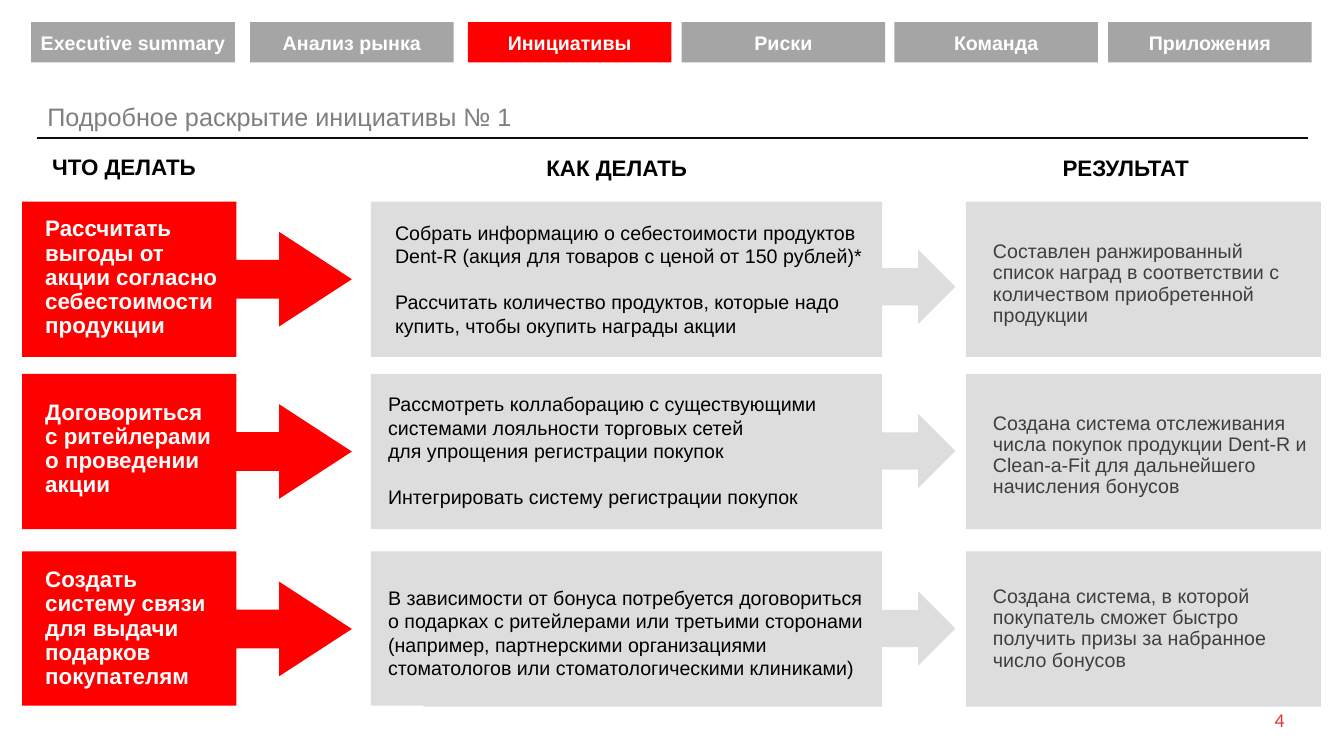
"""Build the slide that details initiative No. 1: what to do, how, and the result."""
from dataclasses import dataclass

import lxml.etree
import pptx
import pptx.dml.color
import pptx.enum.shapes
import pptx.enum.text
import pptx.oxml.ns
import pptx.util

Inches = pptx.util.Inches
Shapes = pptx.enum.shapes.MSO_SHAPE
Align = pptx.enum.text.PP_ALIGN
Anchor = pptx.enum.text.MSO_ANCHOR


@dataclass(frozen=True)
class Theme:
    """Colours, fonts and type sizes of the slide."""
    red: str = "FF0000"
    tab: str = "A5A5A5"
    panel: str = "DDDDDD"
    white: str = "FFFFFF"
    black: str = "000000"
    rule: str = "0C0C0C"
    title: str = "7F7F7F"
    result: str = "3F3F3F"
    number: str = "E53530"
    font: str = "Arial"
    number_font: str = "Calibri"
    title_size: int = 18
    head_size: int = 16
    body_size: int = 14
    gap: int = 16


THEME = Theme()


@dataclass(frozen=True)
class Box:
    """Left, top, width and height in inches."""
    left: float
    top: float
    width: float
    height: float

    def lengths(self) -> list:
        """Return the four measures as lengths."""
        return [Inches(n) for n in (self.left, self.top, self.width, self.height)]


@dataclass(frozen=True)
class Style:
    """Look of a block of text."""
    color: str
    size: int = THEME.body_size
    bold: bool = False
    align: Align = Align.LEFT
    spacing: float = 1.0
    font: str = THEME.font


@dataclass(frozen=True)
class Tab:
    """One entry of the navigation bar."""
    label: str
    left: float
    active: bool = False


@dataclass(frozen=True)
class Note:
    """A text and the place of its top left corner."""
    left: float
    top: float
    paragraphs: tuple
    gap_before: int = -1


@dataclass(frozen=True)
class Initiative:
    """One row: action, method and result."""
    top: float
    arrow_top: float
    action: Note
    method: Note
    result: Note


TABS = (
    Tab("Executive summary", 0.31),
    Tab("Анализ рынка", 2.48),
    Tab("Инициативы", 4.64, True),
    Tab("Риски", 6.76),
    Tab("Команда", 8.87),
    Tab("Приложения", 10.99),
)
HEADINGS = (
    Note(0.42, 1.47, ("ЧТО ДЕЛАТЬ",)),
    Note(5.32, 1.48, ("КАК ДЕЛАТЬ",)),
    Note(10.44, 1.48, ("РЕЗУЛЬТАТ",)),
)
INITIATIVES = (
    Initiative(
        2, 2.32,
        Note(0.35, 2.11, ("Рассчитать выгоды от акции согласно себестоимости продукции",)),
        Note(3.82, 2.14, (
            "Собрать информацию о себестоимости продуктов Dent-R (акция для товаров с ценой от 150 рублей)*",
            "Рассчитать количество продуктов, которые надо купить, чтобы окупить награды акции"), 1),
        Note(9.75, 2.35, (
            "Составлен ранжированный\vсписок наград в соответствии с количеством приобретенной продукции",)),
    ),
    Initiative(
        3.71, 3.95,
        Note(0.35, 3.93, ("Договориться\vс ритейлерами о проведении акции",)),
        Note(3.75, 3.84, (
            "Рассмотреть коллаборацию с существующими системами лояльности торговых сетей",
            "для упрощения регистрации покупок",
            "Интегрировать систему регистрации покупок"), 2),
        Note(9.75, 4.05, (
            "Создана система отслеживания\vчисла покупок продукции Dent-R и Clean-a-Fit "
            "для дальнейшего начисления бонусов",)),
    ),
    Initiative(
        5.47, 5.71,
        Note(0.35, 5.59, ("Создать систему связи для выдачи подарков покупателям",)),
        Note(3.75, 5.76, (
            "В зависимости от бонуса потребуется договориться\vо подарках с ритейлерами "
            "или третьими сторонами (например, партнерскими организациями "
            "стоматологов или стоматологическими клиниками)",)),
        Note(9.75, 5.77, (
            "Создана система, в которой покупатель сможет быстро\v"
            "получить призы за набранное\vчисло бонусов",)),
    ),
)


def rgb(color: str) -> pptx.dml.color.RGBColor:
    """Turn a hex string into a colour."""
    return pptx.dml.color.RGBColor.from_string(color)


def write(frame, paragraphs: tuple, style: Style, anchor: Anchor = Anchor.TOP,
          gap_before: int = -1) -> None:
    """Fill a text frame, with a gap above the paragraph at gap_before."""
    frame.word_wrap = True
    frame.auto_size = pptx.enum.text.MSO_AUTO_SIZE.NONE
    frame.vertical_anchor = anchor
    for index, text in enumerate(paragraphs):
        para = frame.add_paragraph() if index else frame.paragraphs[0]
        para.text = text
        para.alignment = style.align
        para.line_spacing = style.spacing
        para.space_before = pptx.util.Pt(THEME.gap if index == gap_before else 0)
        para.font.name = style.font
        para.font.size = pptx.util.Pt(style.size)
        para.font.bold = style.bold
        para.font.color.rgb = rgb(style.color)


def add_note(page, note: Note, width: float, height: float, style: Style,
             anchor: Anchor = Anchor.TOP) -> None:
    """Add a text box for a note."""
    box = page.shapes.add_textbox(*Box(note.left, note.top, width, height).lengths())
    write(box.text_frame, note.paragraphs, style, anchor, note.gap_before)


def add_block(page, kind: Shapes, box: Box, color: str):
    """Add a plain filled shape."""
    shape = page.shapes.add_shape(kind, *box.lengths())
    shape.shadow.inherit = False
    shape.fill.solid()
    shape.fill.fore_color.rgb = rgb(color)
    shape.line.fill.background()
    return shape


def add_title(page) -> None:
    """Place the title and the rule below it."""
    title = page.shapes.title
    title.left, title.top, title.width, title.height = Box(0.37, 0.63, 12.6, 0.73).lengths()
    write(title.text_frame, ("Подробное раскрытие инициативы № 1",),
          Style(THEME.title, THEME.title_size, spacing=0.9), Anchor.BOTTOM)
    rule = page.shapes.add_connector(pptx.enum.shapes.MSO_CONNECTOR.STRAIGHT,
                                     Inches(0.37), Inches(1.37), Inches(12.97), Inches(1.37))
    rule.line.color.rgb = rgb(THEME.rule)
    rule.line.width = pptx.util.Pt(2)
    lxml.etree.SubElement(rule._element.spPr, pptx.oxml.ns.qn("a:effectLst"))


def add_tab(page, tab: Tab) -> None:
    """Add one navigation tab."""
    shape = add_block(page, Shapes.RECTANGLE, Box(tab.left, 0.22, 2.02, 0.4),
                      THEME.red if tab.active else THEME.tab)
    shape.text_frame.margin_left = shape.text_frame.margin_right = 0
    write(shape.text_frame, (tab.label,), Style(THEME.white, bold=True, align=Align.CENTER),
          Anchor.MIDDLE)


def add_initiative(page, row: Initiative) -> None:
    """Add the panels, arrows and texts of one row."""
    callout = add_block(page, Shapes.RIGHT_ARROW_CALLOUT, Box(0.22, row.top, 3.27, 1.54), THEME.red)
    for index, value in enumerate((0.25, 0.305, 0.469, 0.65)):
        callout.adjustments[index] = value
    for left, width in ((3.68, 5.07), (9.58, 3.52)):
        add_block(page, Shapes.RECTANGLE, Box(left, row.top, width, 1.54), THEME.panel)
    arrow = add_block(page, Shapes.DOWN_ARROW, Box(8.58, row.arrow_top, 0.74, 1.05), THEME.panel)
    arrow.rotation = 270
    add_note(page, row.action, 2.01, 1.44, Style(THEME.white, THEME.head_size, True, spacing=0.9))
    add_note(page, row.method, 5.21, 1.46, Style(THEME.black))
    add_note(page, row.result, 3.78, 1.44, Style(THEME.result, spacing=0.9))


def main() -> None:
    """Build and save the deck."""
    deck = pptx.Presentation()
    deck.slide_width, deck.slide_height = Inches(13.33), Inches(7.5)
    page = deck.slides.add_slide(deck.slide_layouts.get_by_name("Title Only"))
    add_title(page)
    for tab in TABS:
        add_tab(page, tab)
    for heading in HEADINGS:
        add_note(page, heading, 1.8, 0.37, Style(THEME.black, THEME.head_size, True))
    for row in INITIATIVES:
        add_initiative(page, row)
    add_block(page, Shapes.RECTANGLE, Box(0.22, 7, 3.98, 0.12), THEME.white)
    add_note(page, Note(12.18, 6.98, ("4",)), 0.66, 0.31,
             Style(THEME.number, align=Align.RIGHT, font=THEME.number_font), Anchor.MIDDLE)
    deck.save("out.pptx")


if __name__ == "__main__":
    main()
